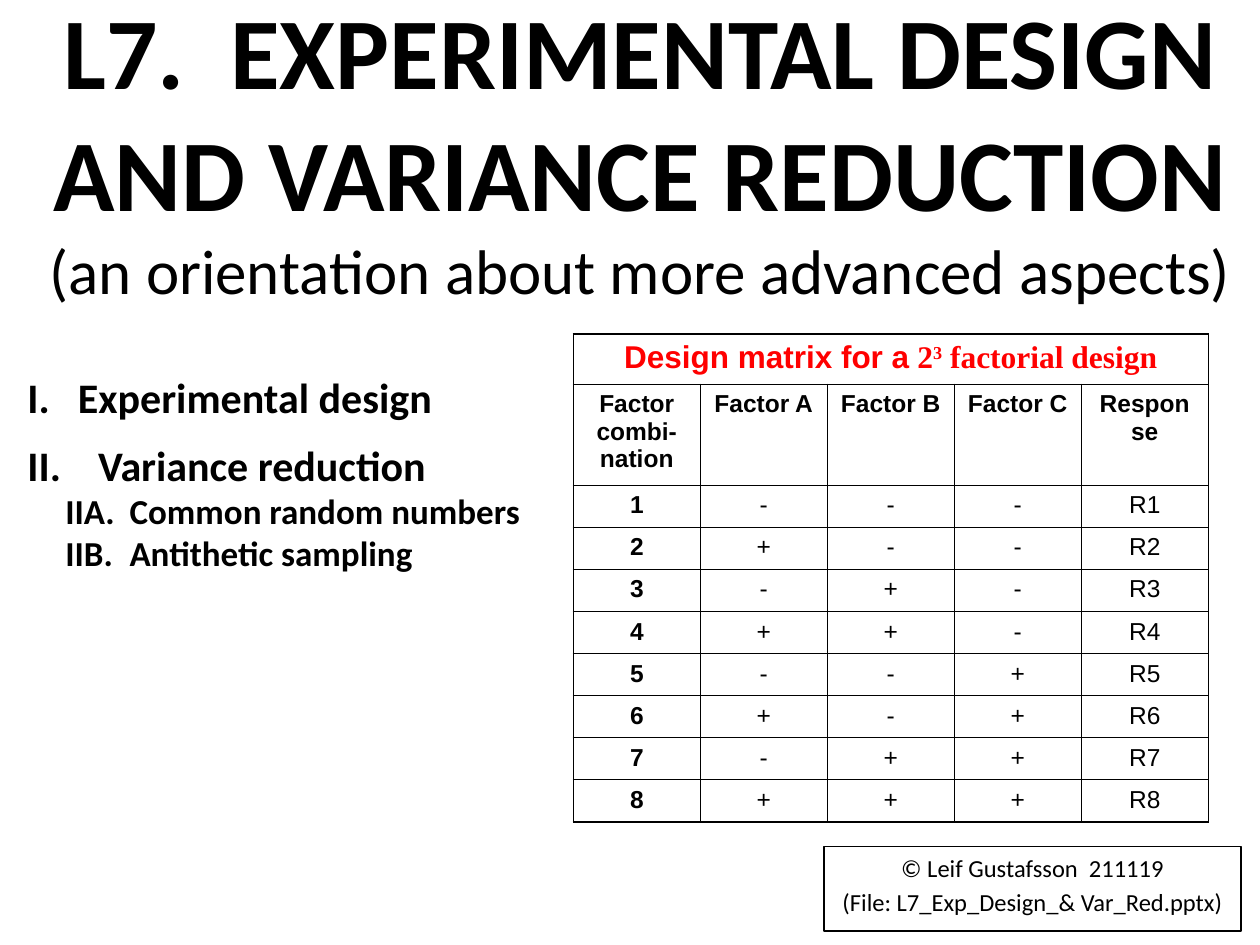
from lxml import etree
from pptx import Presentation
from pptx import util as u
from pptx.dml.color import RGBColor
from pptx.enum import shapes, text
from pptx.oxml import ns

BLACK, RED, WHITE = "000000", "FF0000", "FFFFFF"
CENTER = text.PP_ALIGN.CENTER


def color(value):
    return RGBColor.from_string(value)


def set_font(font, size, name="Calibri", bold=False, shade=BLACK):
    font.size, font.name, font.bold = u.Pt(size), name, bold
    font.color.rgb = color(shade)


deck = Presentation()
deck.slide_width, deck.slide_height = u.Inches(10), u.Inches(7.5)
page = deck.slides.add_slide(deck.slide_layouts[6])

# Title and subtitle
title = page.shapes.add_textbox(u.Inches(0.12), u.Inches(0.09), u.Inches(9.92), u.Inches(2.16))
frame = title.text_frame
frame.word_wrap = True
frame.vertical_anchor = text.MSO_ANCHOR.MIDDLE
para = frame.paragraphs[0]
para.alignment = CENTER
span = para.add_run()
span.text = "L7.  EXPERIMENTAL DESIGN AND VARIANCE REDUCTION"
set_font(span.font, 58, bold=True)
para.add_line_break()
span = para.add_run()
span.text = "(an orientation about more advanced aspects)"
set_font(span.font, 36)

# Author and file name
credit = page.shapes.add_shape(shapes.MSO_SHAPE.RECTANGLE, u.Inches(6.54), u.Inches(6.72),
                               u.Inches(3.31), u.Inches(0.67))
credit.shadow.inherit = False
credit.fill.background()
credit.line.color.rgb = color(BLACK)
credit.line.width = u.Pt(0.75)
frame = credit.text_frame
frame.word_wrap = True
frame.vertical_anchor = text.MSO_ANCHOR.TOP
frame.text = "© Leif Gustafsson  211119\n(File: L7_Exp_Design_& Var_Red.pptx)"
for para in frame.paragraphs:
    para.alignment = CENTER
    para.space_before = u.Pt(2.8)
    set_font(para.font, 14)

# Outline: text, size, left margin, hanging indent, space before
outline = [
    ("I.\tExperimental design", 24, 0.4, 0.4, 0),
    ("Variance reduction", 24, 0.56, 0.56, 10),
    ("IIA.\tCommon random numbers", 20, 0.81, 0.51, 0),
    ("IIB.\tAntithetic sampling", 20, 0.81, 0.51, 0),
]
box = page.shapes.add_textbox(u.Inches(0.12), u.Inches(2.9), u.Inches(4.27), u.Inches(1.78))
frame = box.text_frame
frame.word_wrap = True
frame.text = "\n".join(entry[0] for entry in outline)
for para, (_, size, margin, hanging, before) in zip(frame.paragraphs, outline):
    set_font(para.font, size, bold=True)
    para.space_before = u.Pt(before)
    properties = para._p.get_or_add_pPr()
    properties.set("marL", str(u.Inches(margin)))
    properties.set("indent", str(-u.Inches(hanging)))
numbered = frame.paragraphs[1]._p.get_or_add_pPr()
number = etree.Element(ns.qn("a:buAutoNum"), type="romanUcPeriod", startAt="2")
numbered.find(ns.qn("a:spcBef")).addnext(number)

# Design matrix: factor A alternates fastest, factor C slowest
headings = ["Factor combi-\nnation", "Factor A", "Factor B", "Factor C", "Response"]
rows = [["Design matrix for a", "", "", "", ""], headings]
for run in range(8):
    signs = ["+" if run >> factor & 1 else "-" for factor in range(3)]
    rows.append([str(run + 1), *signs, f"R{run + 1}"])
heights = [0.4, 0.8] + [0.33] * 8

table = page.shapes.add_table(len(rows), len(headings), u.Inches(4.55), u.Inches(2.65),
                              u.Inches(5.04), u.Inches(sum(heights))).table
table.first_row = table.horz_banding = False
for column in table.columns:
    column.width = u.Inches(5.04 / len(headings))
for row, height in zip(table.rows, heights):
    row.height = u.Inches(height)
table.cell(0, 0).merge(table.cell(0, len(headings) - 1))

for r, values in enumerate(rows):
    for c, value in enumerate(values):
        cell = table.cell(r, c)
        for side in ("lnL", "lnR", "lnT", "lnB"):
            border = etree.SubElement(cell._tc.get_or_add_tcPr(), ns.qn(f"a:{side}"),
                                      w=str(u.Pt(1)))
            paint = etree.SubElement(border, ns.qn("a:solidFill"))
            etree.SubElement(paint, ns.qn("a:srgbClr"), val=BLACK)
        cell.fill.background()
        if cell.is_spanned:
            continue
        cell.text = value
        for para in cell.text_frame.paragraphs:
            para.alignment = CENTER
            set_font(para.font, 18 if r == 0 else 14, "Arial", r < 2 or c == 0,
                     RED if r == 0 else BLACK)

heading = table.cell(0, 0).text_frame.paragraphs[0]
for words in (" 2", "3", " factorial design"):
    span = heading.add_run()
    span.text = words
    span.font.name = "Times New Roman"
    if words == "3":
        span.font._element.set("baseline", "30000")

deck.save("out.pptx")
